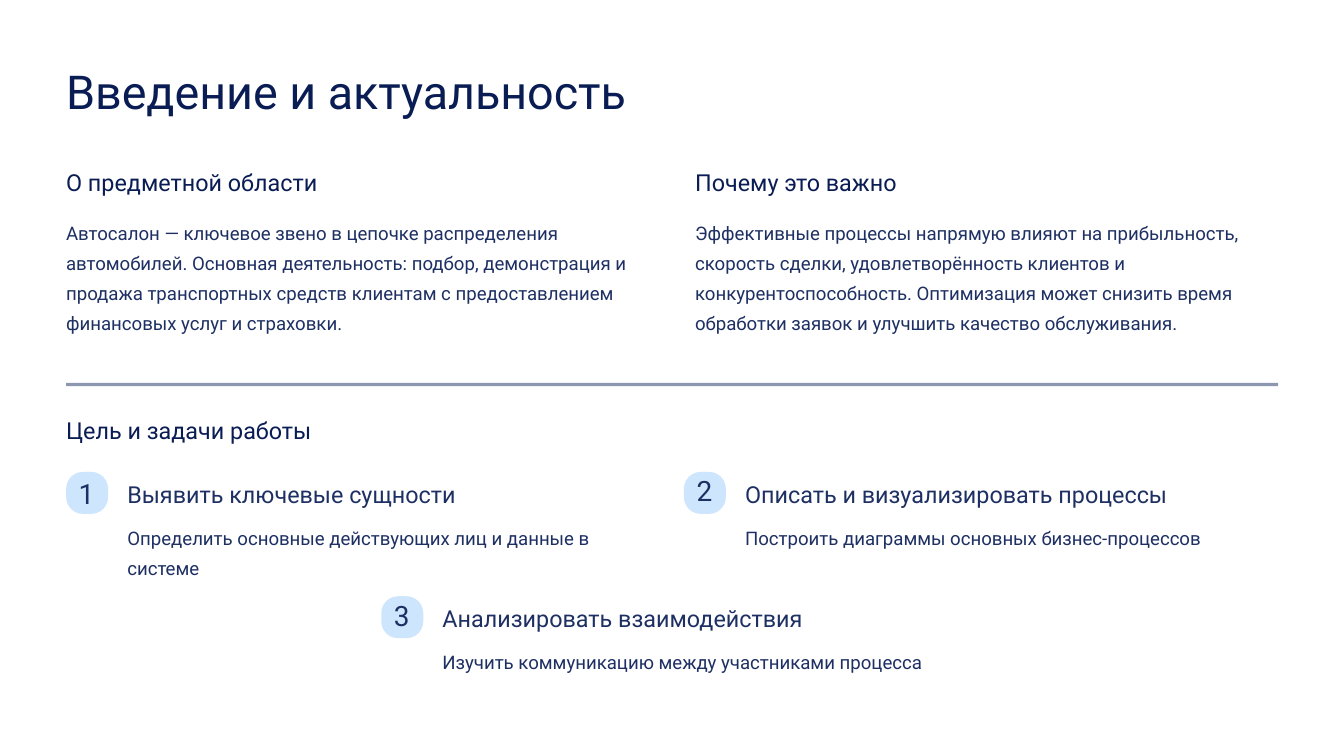
import pptx
import pptx.dml.color
import pptx.enum.shapes
import pptx.enum.text
import pptx.oxml
import pptx.oxml.ns
import pptx.util
from pptx.util import Cm

COLORS = {"heading": "091C53", "body": "1E3063", "badge": "CEE6FD"}
FONT = "Roboto"
# role: (font size, line spacing) in points
STYLES = {"title": (40, 50), "heading": (20, 25), "body": (16, 25.5), "number": (24, 24)}

MARGIN = 2
CONTENT_WIDTH = 36.65
COLUMN_WIDTH = 17.63
BADGE_SIZE = 1.27
TASK_WIDTH = 17.98

TOPICS = [
    ("О предметной области",
     "Автосалон — ключевое звено в цепочке распределения автомобилей. "
     "Основная деятельность: подбор, демонстрация и продажа транспортных средств "
     "клиентам с предоставлением финансовых услуг и страховки."),
    ("Почему это важно",
     "Эффективные процессы напрямую влияют на прибыльность, скорость сделки, "
     "удовлетворённость клиентов и конкурентоспособность. Оптимизация может снизить "
     "время обработки заявок и улучшить качество обслуживания."),
]
# left, top, number offset, heading, description
TASKS = [
    (MARGIN, 14.27, 0.3, "Выявить ключевые сущности",
     "Определить основные действующих лиц и данные в системе"),
    (20.68, 14.27, 0.23, "Описать и визуализировать процессы",
     "Построить диаграммы основных бизнес-процессов"),
    (11.53, 18.03, 0.23, "Анализировать взаимодействия",
     "Изучить коммуникацию между участниками процесса"),
]


def add_text(slide, text, left, top, width, height, style, color="body", centred=False):
    box = slide.shapes.add_textbox(Cm(left), Cm(top), Cm(width), Cm(height))
    frame = box.text_frame
    frame.word_wrap = True
    frame.margin_left = frame.margin_right = frame.margin_top = frame.margin_bottom = 0
    frame.text = text
    paragraph = frame.paragraphs[0]
    size, spacing = STYLES[style]
    paragraph.line_spacing = pptx.util.Pt(spacing)
    if centred:
        paragraph.alignment = pptx.enum.text.PP_ALIGN.CENTER
    font = paragraph.runs[0].font
    font.name = FONT
    font.size = pptx.util.Pt(size)
    font.color.rgb = pptx.dml.color.RGBColor.from_string(COLORS[color])


def add_filled_shape(slide, kind, left, top, width, height, color):
    shape = slide.shapes.add_shape(kind, Cm(left), Cm(top), Cm(width), Cm(height))
    shape.shadow.inherit = False
    shape.fill.solid()
    shape.fill.fore_color.rgb = pptx.dml.color.RGBColor.from_string(COLORS[color])
    shape.line.fill.background()
    return shape


def add_topic(slide, left, top, width, heading, body):
    add_text(slide, heading, left, top, width, 0.9, "heading", "heading")
    add_text(slide, body, left, top + 1.45, width, 3.66, "body")


def add_divider(slide, left, top, width):
    """Draw a thin half-transparent bar."""
    kind = pptx.enum.shapes.MSO_SHAPE.RECTANGLE
    bar = add_filled_shape(slide, kind, left, top, width, 0.1, "body")
    color = bar.fill._xPr.find(".//" + pptx.oxml.ns.qn("a:srgbClr"))
    color.append(pptx.oxml.parse_xml(
        f'<a:alpha {pptx.oxml.ns.nsdecls("a")} val="50000"/>'))


def add_task(slide, left, top, number, number_offset, heading, description):
    kind = pptx.enum.shapes.MSO_SHAPE.ROUNDED_RECTANGLE
    badge = add_filled_shape(slide, kind, left, top, BADGE_SIZE, BADGE_SIZE, "badge")
    badge.adjustments[0] = 0.4
    add_text(slide, str(number), left + 0.19, top + number_offset, 0.86, 1.07,
             "number", centred=True)
    text_left = left + 1.85
    text_width = TASK_WIDTH - 1.85
    add_text(slide, heading, text_left, top + 0.2, text_width, 0.9, "heading")
    add_text(slide, description, text_left, top + 1.44, text_width, 1.83, "body")


def main():
    presentation = pptx.Presentation()
    presentation.slide_width = Cm(40.64)
    presentation.slide_height = Cm(22.86)
    slide = presentation.slides.add_slide(presentation.slide_layouts[6])

    add_text(slide, "Введение и актуальность", MARGIN, 1.83, CONTENT_WIDTH, 1.78,
             "title", "heading")
    column_step = CONTENT_WIDTH - COLUMN_WIDTH
    for column, (heading, body) in enumerate(TOPICS):
        add_topic(slide, MARGIN + column * column_step, 5.05, COLUMN_WIDTH, heading, body)
    add_divider(slide, MARGIN, 11.58, CONTENT_WIDTH)
    add_text(slide, "Цель и задачи работы", MARGIN, 12.55, CONTENT_WIDTH, 0.9,
             "heading", "heading")
    for number, (left, top, number_offset, heading, description) in enumerate(TASKS, 1):
        add_task(slide, left, top, number, number_offset, heading, description)

    presentation.save("out.pptx")


if __name__ == "__main__":
    main()
